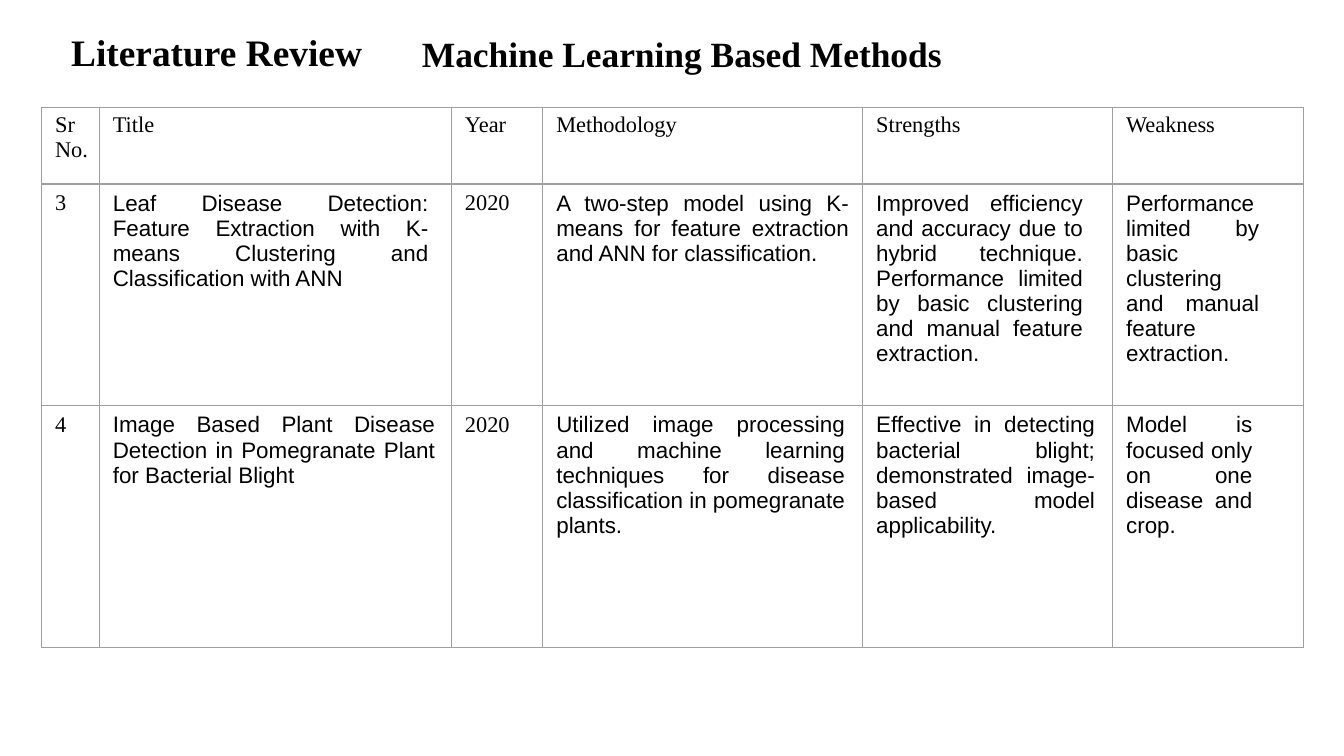
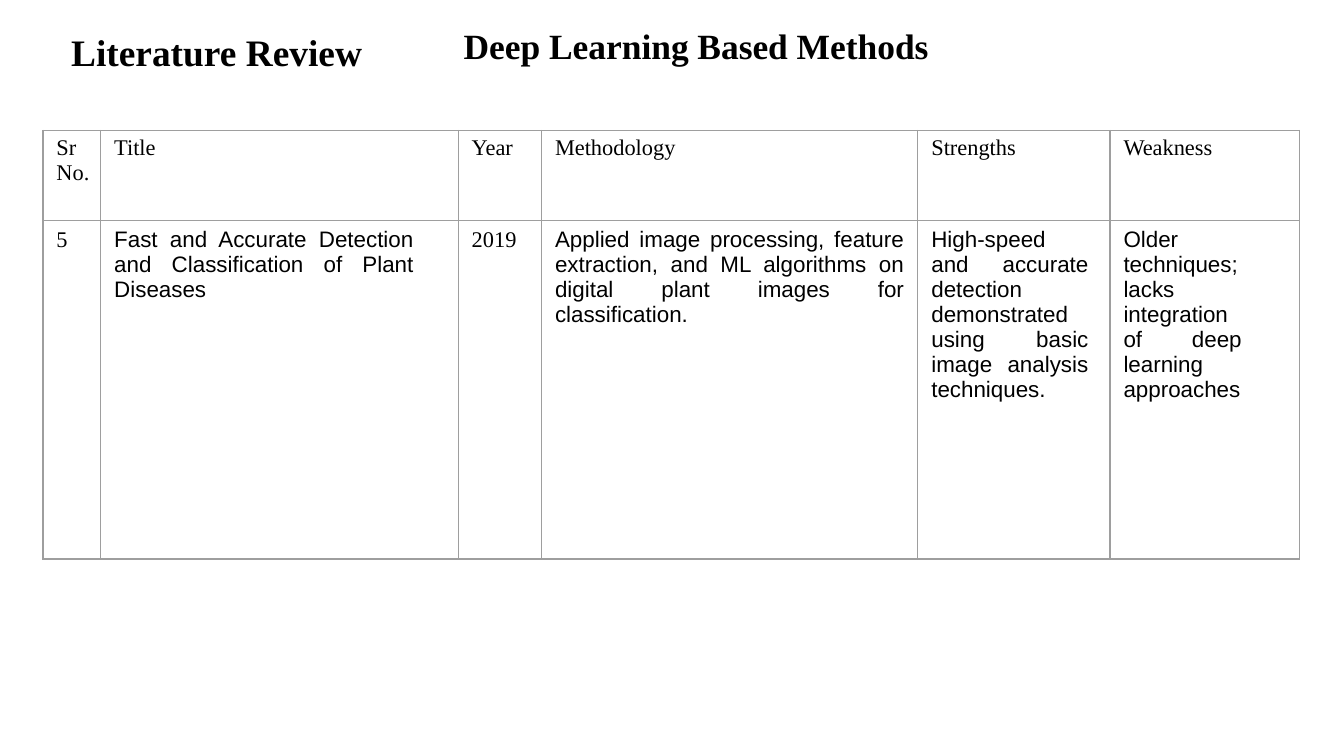
from lxml import etree
from pptx import Presentation
from pptx.dml.color import RGBColor
from pptx.enum.text import MSO_AUTO_SIZE, PP_ALIGN
from pptx.oxml.ns import qn
from pptx.util import Inches, Pt

JUSTIFY = PP_ALIGN.JUSTIFY
GROW = MSO_AUTO_SIZE.SHAPE_TO_FIT_TEXT
SERIF, SANS = "Times New Roman", "Arial"
INK, RULE = "000000", "9E9E9E"
SECTION = "Literature Review"
SECTION_BOX = (0.52, 0.21, 2.2, 0.36)
HEADER = ["Sr\nNo.", "Title", "Year", "Methodology", "Strengths", "Weakness"]
SERIF_COLUMNS = (0, 2)

# "right_insets" holds one list per body row, one value per column.
SLIDES = [
    {
        "title": "Machine Learning Based Methods",
        "title_box": (3.13, 0.23, 3.9, 0.34),
        "origin": (0.31, 0.8),
        "columns": [0.43, 2.62, 0.68, 2.38, 1.86, 1.42],
        "rows": [0.57, 1.65, 1.8],
        "body": [
            ["3",
             "Leaf Disease Detection: Feature Extraction with K-means Clustering "
             "and Classification with ANN",
             "2020",
             "A two-step model using K-means for feature extraction and ANN for "
             "classification.",
             "Improved efficiency and accuracy due to hybrid technique. Performance "
             "limited by basic clustering and manual feature extraction.",
             "Performance limited by basic clustering and manual feature extraction."],
            ["4",
             "Image Based Plant Disease Detection in Pomegranate Plant for "
             "Bacterial Blight",
             "2020",
             "Utilized image processing and machine learning techniques for disease "
             "classification in pomegranate plants.",
             "Effective in detecting bacterial blight; demonstrated image-based "
             "model applicability.",
             "Model is focused only on one disease and crop."],
        ],
        "right_insets": [[0, 0.17, 0, 0.1, 0.22, 0.33],
                         [0, 0.12, 0, 0.13, 0.13, 0.38]],
    },
    {
        "title": "Deep Learning Based Methods",
        "title_box": (3.44, 0.17, 3.49, 0.34),
        "origin": (0.32, 0.97),
        "columns": [0.43, 2.66, 0.62, 2.8, 1.43, 1.41],
        "rows": [0.67, 2.52],
        "body": [
            ["5",
             "Fast and Accurate Detection and Classification of Plant Diseases",
             "2019",
             "Applied image processing, feature extraction, and ML algorithms on "
             "digital plant images for classification.",
             "High-speed and accurate detection demonstrated using basic image "
             "analysis techniques.",
             "Older techniques; lacks integration of deep learning approaches"],
        ],
        "right_insets": [[0, 0.33, 0, 0.1, 0.16, 0.43]],
    },
]


def color(value):
    return RGBColor.from_string(value)


def style_font(paragraph, name, size, bold=False):
    font = paragraph.font
    font.name, font.size, font.bold = name, Pt(size), bold
    font.color.rgb = color(INK)


def add_heading(slide, text, box, size):
    frame = slide.shapes.add_textbox(*map(Inches, box)).text_frame
    frame.word_wrap = True
    frame.auto_size = GROW
    frame.margin_left = Inches(0.01)
    frame.margin_top = Inches(0.01)
    frame.margin_right = frame.margin_bottom = 0
    frame.text = text
    style_font(frame.paragraphs[0], name=SERIF, size=size, bold=True)


def add_borders(cell):
    properties = cell._tc.get_or_add_tcPr()
    for side in ("a:lnL", "a:lnR", "a:lnT", "a:lnB"):
        line = etree.SubElement(properties, qn(side), w=str(Pt(0.75)))
        fill = etree.SubElement(line, qn("a:solidFill"))
        etree.SubElement(fill, qn("a:srgbClr"), val=RULE)


def fill_cell(cell, text, font_name, top, right):
    add_borders(cell)
    cell.fill.background()
    cell.margin_left = Inches(0.1)
    cell.margin_top, cell.margin_right = Inches(top), Inches(right)
    cell.margin_bottom = 0
    cell.text_frame.text = text
    for paragraph in cell.text_frame.paragraphs:
        paragraph.alignment = JUSTIFY
        style_font(paragraph, name=font_name, size=12)


def add_review_table(slide, content):
    columns, rows = content["columns"], content["rows"]
    size = (sum(columns), sum(rows))
    table = slide.shapes.add_table(
        len(rows), len(columns), *map(Inches, content["origin"] + size)).table
    table.first_row = table.horz_banding = False
    for column, width in zip(table.columns, columns):
        column.width = Inches(width)
    for row, height in zip(table.rows, rows):
        row.height = Inches(height)

    for index, text in enumerate(HEADER):
        fill_cell(table.cell(0, index), text, SERIF, top=0.04, right=0)
    body = zip(content["body"], content["right_insets"])
    for row_index, (texts, insets) in enumerate(body, start=1):
        for index, (text, inset) in enumerate(zip(texts, insets)):
            font_name = SERIF if index in SERIF_COLUMNS else SANS
            fill_cell(table.cell(row_index, index), text, font_name,
                      top=0.05, right=inset)


def main():
    presentation = Presentation()
    presentation.slide_width = Inches(10)
    presentation.slide_height = presentation.slide_width * 9 // 16
    blank = presentation.slide_layouts[6]
    for content in SLIDES:
        slide = presentation.slides.add_slide(blank)
        add_heading(slide, SECTION, SECTION_BOX, size=20)
        add_review_table(slide, content)
        add_heading(slide, content["title"], content["title_box"], size=19)
    presentation.save("out.pptx")


if __name__ == "__main__":
    main()
